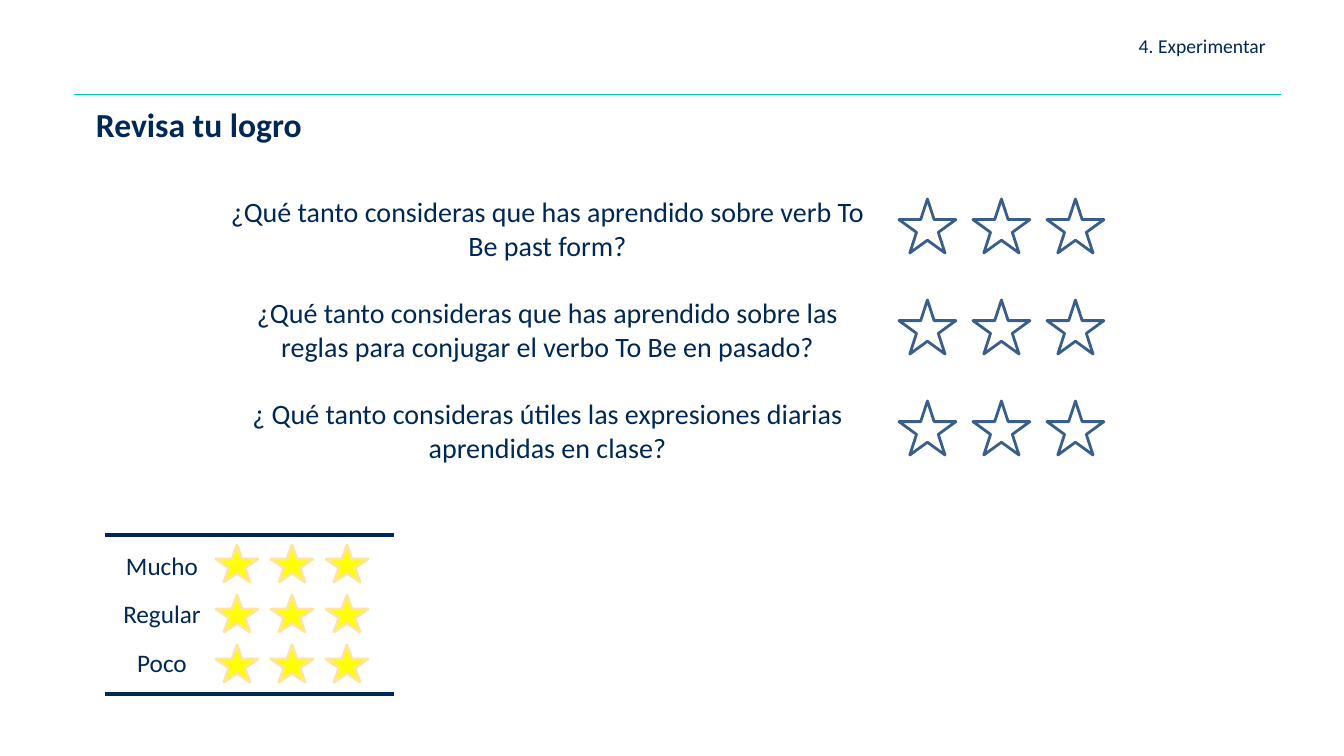
"""Build the self-assessment slide: three questions rated with stars, and a legend."""
from dataclasses import dataclass

from lxml.etree import SubElement
from pptx import Presentation
from pptx.dml.color import RGBColor as RGB
from pptx.enum.shapes import MSO_CONNECTOR as CONN, MSO_SHAPE as SHAPE
from pptx.enum.text import MSO_ANCHOR as ANCHOR, PP_ALIGN as ALIGN
from pptx.oxml.ns import qn
from pptx.util import Emu, Pt

SECTION = "4. Experimentar"
HEADING = "Revisa tu logro"
QUESTIONS = [
    "¿Qué tanto consideras que has aprendido sobre verb To Be past form?",
    "¿Qué tanto consideras que has aprendido sobre las reglas para conjugar el verbo To Be en pasado?",
    "¿ Qué tanto consideras útiles las expresiones diarias aprendidas en clase?",
]
LEVELS = ["Mucho", "Regular", "Poco"]
STARS_PER_ROW = 3


@dataclass(frozen=True)
class Theme:
    font: str = "Calibri"
    navy: str = "002855"
    teal: str = "00CCB6"
    blue: str = "395E89"
    yellow: str = "FFFF00"
    cream: str = "FEE599"
    section: int = 14
    heading: int = 24
    question: int = 20
    level: int = 18


THEME = Theme()


def px(n):
    return Emu(round(n * 914400 / 100.8))


def write(sp, lines, size, align, bold=False, gap=0, indent=0):
    tf = sp.text_frame
    tf.word_wrap = True
    for i, line in enumerate(lines):
        p = tf.add_paragraph() if i else tf.paragraphs[0]
        p.text = line
        p.alignment = align
        if indent:
            p._p.get_or_add_pPr().set("marL", str(px(indent)))
        if i:
            p.space_before = Pt(gap)
        p.font.name = THEME.font
        p.font.size = Pt(size)
        p.font.bold = bold
        p.font.color.rgb = RGB.from_string(THEME.navy)
    return tf


def add_text(slide, box, *args, **kwargs):
    sp = slide.shapes.add_textbox(*map(px, box))
    write(sp, *args, **kwargs)


def add_rule(slide, x1, x2, y, color, width):
    line = slide.shapes.add_connector(CONN.STRAIGHT, px(x1), px(y), px(x2), px(y))
    line.line.color.rgb = RGB.from_string(color)
    line.line.width = Pt(width)
    SubElement(line._element.spPr, qn("a:effectLst"))


def add_star_rows(slide, rows, left, top, size, pitch, outline, fill=None):
    for row in range(rows):
        group = slide.shapes.add_group_shape()
        for col in range(STARS_PER_ROW):
            x, y = left + col * pitch[0], top + row * pitch[1]
            star = group.shapes.add_shape(SHAPE.STAR_5_POINT, *map(px, (x, y, *size)))
            star.shadow.inherit = False
            star.line.color.rgb = RGB.from_string(outline)
            star.line.width = Pt(2)
            if fill:
                star.fill.solid()
                star.fill.fore_color.rgb = RGB.from_string(fill)
            else:
                star.fill.background()


def main():
    prs = Presentation()
    prs.slide_width, prs.slide_height = px(1344), px(756)
    slide = prs.slides.add_slide(prs.slide_layouts[5])

    title = slide.shapes.title
    title.left, title.top, title.width, title.height = map(px, (640, 21, 636, 53))
    tf = write(title, [SECTION], THEME.section, ALIGN.RIGHT)
    tf.vertical_anchor = ANCHOR.MIDDLE
    tf.paragraphs[0].line_spacing = 0.9

    add_rule(slide, 74, 1281, 95, THEME.teal, 0.75)
    add_text(slide, (86, 99, 678, 44), [HEADING], THEME.heading, ALIGN.LEFT, bold=True)

    add_text(slide, (208, 190, 668, 72), QUESTIONS, THEME.question, ALIGN.CENTER, gap=24, indent=11)
    add_star_rows(slide, len(QUESTIONS), 899, 199, (57, 54), (74, 101), THEME.blue)

    add_text(slide, (97, 545, 119, 72), LEVELS, THEME.level, ALIGN.CENTER, gap=13, indent=11)
    add_star_rows(slide, len(LEVELS), 216, 545, (42, 37), (55, 50), THEME.cream, THEME.yellow)
    for y in (535, 694):
        add_rule(slide, 105, 394, y, THEME.navy, 3)

    prs.save("out.pptx")


if __name__ == "__main__":
    main()
